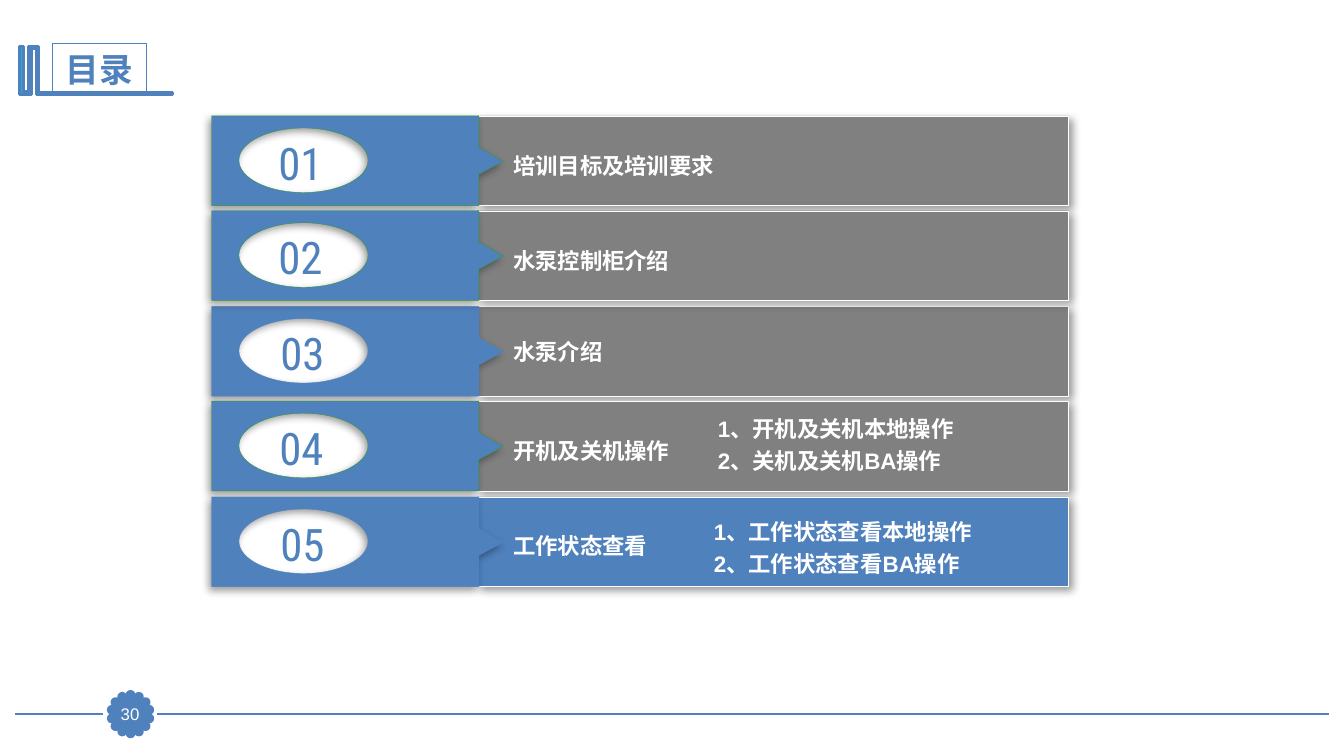
import math
from dataclasses import dataclass

from lxml import etree
from pptx import Presentation
from pptx import util as u
from pptx.dml.color import RGBColor
from pptx.enum import shapes, text
from pptx.oxml import ns

PX = 9144
ARC = 0.5523


@dataclass(frozen=True)
class Theme:
    blue: str = "4F81BD"
    grey: str = "808080"
    green: str = "339933"
    cyan: str = "28A9D6"
    white: str = "FFFFFF"
    shadow: str = "000000"
    display: str = "Roboto Condensed"
    body: str = "Arial"
    title_size: int = 24
    number_size: int = 32
    label_size: int = 16
    page_size: int = 12


def px(length):
    return round(length * PX)


def write(box, *lines, size, color, face, bold=False, gap=0,
          align=text.PP_ALIGN.LEFT, anchor=text.MSO_ANCHOR.TOP, inset=None):
    frame = box.text_frame
    frame.word_wrap = True
    frame.auto_size = text.MSO_AUTO_SIZE.NONE
    frame.vertical_anchor = anchor
    if inset is not None:
        frame.margin_left = frame.margin_right = px(inset)
        frame.margin_top = frame.margin_bottom = px(inset)
    for index, line in enumerate(lines):
        para = frame.add_paragraph() if index else frame.paragraphs[0]
        para.alignment = align
        para.space_before = u.Pt(gap if index else 0)
        if box.is_placeholder:
            props = para._p.get_or_add_pPr()
            props.set("marL", "0")
            props.set("indent", "0")
            etree.SubElement(props, ns.qn("a:buNone"))
        span = para.add_run()
        span.text = line
        span.font.name = face
        span.font.size = u.Pt(size)
        span.font.bold = bold
        span.font.color.rgb = RGBColor.from_string(color)


def oval_points(x, y, rx, ry):
    ax, ay = rx * ARC, ry * ARC
    offsets = [(0, -ry), (-ax, -ry), (-rx, -ay), (-rx, 0), (-rx, ay), (-ax, ry), (0, ry),
               (ax, ry), (rx, ay), (rx, 0), (rx, -ay), (ax, -ry), (0, -ry)]
    return [(x + dx, y + dy) for dx, dy in offsets]


def curve_lines(shape, count):
    lines = list(shape.element.iter(ns.qn("a:lnTo")))[:count]
    for start in range(0, count, 3):
        curve = etree.Element(ns.qn("a:cubicBezTo"))
        lines[start].addprevious(curve)
        for line in lines[start:start + 3]:
            curve.append(line[0])
            line.getparent().remove(line)


class Sheet:
    def __init__(self, page, theme):
        self.page = page
        self.theme = theme

    def paint(self, shape, fill, line, width, shadow_angle=None):
        shape.shadow.inherit = False
        shape.fill.solid()
        shape.fill.fore_color.rgb = RGBColor.from_string(fill)
        shape.line.color.rgb = RGBColor.from_string(line)
        shape.line.width = u.Pt(width)
        if shadow_angle is not None:
            effects = shape.element.spPr.find(ns.qn("a:effectLst"))
            shadow = etree.SubElement(
                effects, ns.qn("a:outerShdw"), blurRad=str(u.Pt(6)),
                dist=str(u.Pt(3)), dir=str(shadow_angle * 60000),
                algn="t", rotWithShape="0")
            color = etree.SubElement(shadow, ns.qn("a:srgbClr"), val=self.theme.shadow)
            etree.SubElement(color, ns.qn("a:alpha"), val="40000")
        return shape

    def shape(self, kind, left, top, size, **look):
        shape = self.page.shapes.add_shape(kind, px(left), px(top), *map(px, size))
        return self.paint(shape, **look)

    def outline(self, *contours, **look):
        first, *others = [[(px(x), px(y)) for x, y in points] for points in contours]
        builder = self.page.shapes.build_freeform(*first[0], scale=1.0)
        builder.add_line_segments(first[1:], close=True)
        for points in others:
            builder.move_to(*points[0])
            builder.add_line_segments(points[1:], close=True)
        return self.paint(builder.convert_to_shape(), **look)

    def rule(self, start, end, y):
        line = self.page.shapes.add_connector(
            shapes.MSO_CONNECTOR.STRAIGHT, px(start), px(y), px(end), px(y))
        line.line.color.rgb = RGBColor.from_string(self.theme.blue)
        line.line.width = u.Pt(1.25)
        etree.SubElement(line.element.spPr, ns.qn("a:effectLst"))

    def label(self, left, top, width, height, words, **style):
        box = self.page.shapes.add_textbox(px(left), px(top), px(width), px(height))
        write(box, words, **style)

    def placeholder(self, box, left, top, width, height, *lines, **style):
        box.left, box.top, box.width, box.height = map(px, (left, top, width, height))
        box.element.getparent().append(box.element)
        write(box, *lines, **style)


def draw_footer(sheet):
    theme = sheet.theme
    sheet.rule(1318, 156, 708)
    sheet.rule(102, 15, 708)
    look = dict(fill=theme.blue, line=theme.blue)
    petals = 14
    for index in range(petals):
        angle = math.tau * index / petals
        sheet.shape(shapes.MSO_SHAPE.OVAL, 126 + 19 * math.sin(angle),
                    705 - 19 * math.cos(angle), (7, 7), width=2, **look)
    badge = sheet.shape(shapes.MSO_SHAPE.RECTANGLE, 113, 693, (32, 31), width=0.75, **look)
    write(badge, "30", size=theme.page_size, color=theme.white, face=theme.body,
          align=text.PP_ALIGN.CENTER, anchor=text.MSO_ANCHOR.MIDDLE, inset=0)


def draw_heading(sheet):
    theme = sheet.theme
    sheet.outline(
        [(37, 46), (38, 46), (38, 92), (171, 92), (171, 94), (36, 94), (36, 48),
         (31, 48), (31, 94), (19, 94), (19, 46), (23, 46), (23, 91), (28, 91), (28, 46)],
        fill=theme.cyan, line=theme.blue, width=2)
    title = sheet.page.shapes.title
    sheet.placeholder(title, 52, 43, 93, 51, "目录", size=theme.title_size,
                      color=theme.blue, face=theme.display, bold=True,
                      align=text.PP_ALIGN.CENTER, anchor=text.MSO_ANCHOR.MIDDLE)
    title.line.color.rgb = RGBColor.from_string(theme.blue)
    title.line.width = u.Pt(0.75)


def draw_row(sheet, number, words, center, drop, bar, edge):
    theme = sheet.theme
    top = 115 + 189 * (number - 1) // 2
    sheet.shape(shapes.MSO_SHAPE.RECTANGLE, 473, top, (587, 89),
                fill=bar, line=theme.white, width=0.25, shadow_angle=45)
    tag = [(210, 0), (475, 0), (475, 31), (499, 45), (475, 58), (475, 89), (210, 89)]
    hole = oval_points(301, top + 44, 64, 32)
    marker = sheet.outline(hole, [(x, top + y) for x, y in tag],
                           fill=theme.blue, line=edge, width=0.25, shadow_angle=135)
    curve_lines(marker, len(hole) - 1)
    sheet.label(center - 50, top + 14, 100, 64, f"{number:02}", size=theme.number_size,
                color=theme.blue, face=theme.display,
                align=text.PP_ALIGN.CENTER, anchor=text.MSO_ANCHOR.MIDDLE)
    sheet.label(499, top + drop, 561, 37, words, size=theme.label_size,
                color=theme.white, face=theme.body, bold=True)


def main():
    deck = Presentation()
    deck.slide_width, deck.slide_height = px(1333), px(750)
    theme = Theme()
    sheet = Sheet(deck.slides.add_slide(deck.slide_layouts[3]), theme)
    draw_footer(sheet)
    draw_heading(sheet)
    rows = [
        (1, "培训目标及培训要求", 298, 31, theme.grey, theme.green),
        (3, "水泵介绍", 300, 27, theme.grey, theme.blue),
        (4, "开机及关机操作", 299, 31, theme.grey, theme.green),
        (5, "工作状态查看", 300, 30, theme.blue, theme.blue),
        (2, "水泵控制柜介绍", 298, 31, theme.grey, theme.green),
    ]
    for row in rows:
        draw_row(sheet, *row)
    steps = [
        (1, 702, 407, "1、开机及关机本地操作", "2、关机及关机BA操作"),
        (2, 698, 509, "1、工作状态查看本地操作", "2、工作状态查看BA操作"),
    ]
    for slot, left, top, *lines in steps:
        sheet.placeholder(sheet.page.placeholders[slot], left, top, 307, 69, *lines,
                          size=theme.label_size, color=theme.white,
                          face=theme.body, bold=True, gap=3.6)
    deck.save("out.pptx")


if __name__ == "__main__":
    main()
